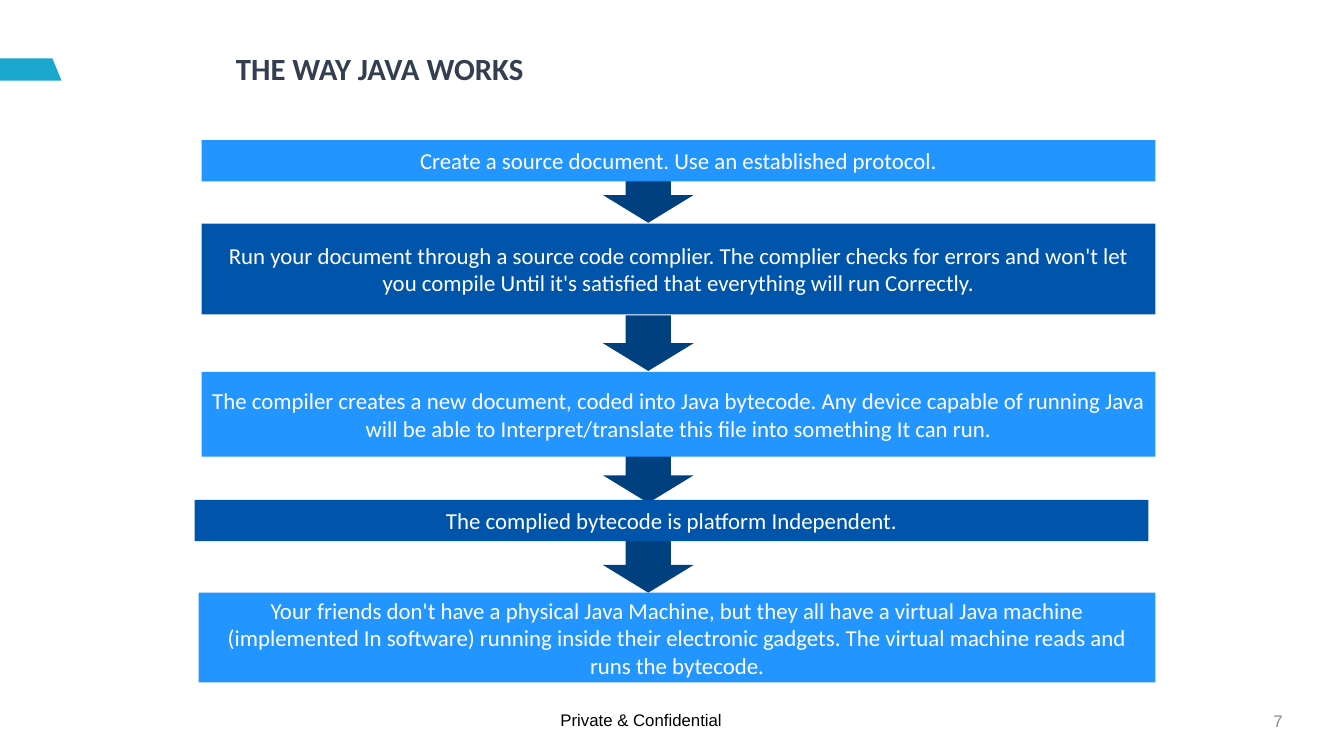
from pptx import Presentation
from pptx.dml.color import RGBColor
from pptx.enum import shapes, text
from pptx.util import Inches, Pt

COLORS = {
    "light": "2295FF", "dark": "0055AA", "arrow": "00407F", "accent": "19A7CE",
    "title": "333F50", "white": "FFFFFF", "black": "000000", "gray": "8C8C8C",
}

TITLE = "THE WAY JAVA WORKS"
FOOTER = "Private & Confidential"
PAGE_NUMBER = "7"

# Steps: left, top, width, height, wording
STEPS = [
    (2, 1.39, 9.46, 0.41, "Create a source document. Use an established protocol."),
    (2, 2.22, 9.46, 0.9,
     "Run your document through a source code complier. The complier checks for errors "
     "and won't let you compile Until it's satisfied that everything will run Correctly."),
    (2, 3.69, 9.46, 0.84,
     "The compiler creates a new document, coded into Java bytecode. Any device capable of "
     "running Java will be able to Interpret/translate this file into something It can run."),
    (1.93, 4.96, 9.46, 0.41, "The complied bytecode is platform Independent."),
    (1.97, 5.88, 9.49, 0.89,
     "Your friends don't have a physical Java Machine, but they all have a virtual Java machine "
     "(implemented In software) running inside their electronic gadgets. The virtual machine "
     "reads and runs the bytecode."),
]
ARROW_TOPS = [1.66, 3.13, 4.44, 5.33]
ARROW_LEFT, ARROW_WIDTH, ARROW_HEIGHT = 5.98, 0.9, 0.55
ACCENT_POINTS = [(0.52, 0.58), (0, 0.58), (0, 0.8), (0.61, 0.8)]

STEP_FONT = {"name": "Calibri", "size": Pt(16.3)}
TITLE_FONT = {"name": "Calibri", "size": Pt(22), "bold": True}
SMALL_FONT = {"name": "Arial", "size": Pt(12)}


def fill_shape(shape, color):
    shape.shadow.inherit = False
    shape.fill.solid()
    shape.fill.fore_color.rgb = RGBColor.from_string(COLORS[color])
    shape.line.fill.background()


def write(shape, wording, font_values, color, align, wrap=True):
    frame = shape.text_frame
    frame.text = wording
    frame.word_wrap = wrap
    frame.vertical_anchor = text.MSO_ANCHOR.MIDDLE
    paragraph = frame.paragraphs[0]
    paragraph.alignment = align
    font = paragraph.runs[0].font
    for name, value in font_values.items():
        setattr(font, name, value)
    font.color.rgb = RGBColor.from_string(COLORS[color])
    return paragraph


def place(shape, *box):
    for name, value in zip(("left", "top", "width", "height"), box):
        setattr(shape, name, Inches(value))


def main():
    presentation = Presentation()
    presentation.slide_width, presentation.slide_height = Inches(13.33), Inches(7.5)
    slide = presentation.slides.add_slide(presentation.slide_layouts[5])
    align = text.PP_ALIGN

    # Title
    title = slide.shapes.title
    place(title, 2.24, 0.37, 8, 0.65)
    paragraph = write(title, TITLE, TITLE_FONT, "title", align.LEFT)
    paragraph.line_spacing = 0.9

    # Accent at the left edge
    points = [(Inches(x), Inches(y)) for x, y in ACCENT_POINTS]
    builder = slide.shapes.build_freeform(*points[0])
    builder.add_line_segments(points[1:], close=True)
    fill_shape(builder.convert_to_shape(), "accent")

    # Footer and page number
    footer = slide.shapes.add_textbox(*map(Inches, (5.46, 6.99, 1.81, 0.3)))
    write(footer, FOOTER, SMALL_FONT, "black", align.LEFT, wrap=False)
    number = slide.shapes.add_textbox(*map(Inches, (9.82, 6.95, 3, 0.4)))
    write(number, PAGE_NUMBER, SMALL_FONT, "gray", align.RIGHT)

    # Arrows lie behind the steps
    for top in ARROW_TOPS:
        box = map(Inches, (ARROW_LEFT, top, ARROW_WIDTH, ARROW_HEIGHT))
        arrow = slide.shapes.add_shape(shapes.MSO_SHAPE.DOWN_ARROW, *box)
        fill_shape(arrow, "arrow")

    # Steps in alternating blues
    for index, (*box, wording) in enumerate(STEPS):
        step = slide.shapes.add_shape(shapes.MSO_SHAPE.RECTANGLE, *map(Inches, box))
        fill_shape(step, "dark" if index % 2 else "light")
        write(step, wording, STEP_FONT, "white", align.CENTER)

    presentation.save("out.pptx")


if __name__ == "__main__":
    main()
